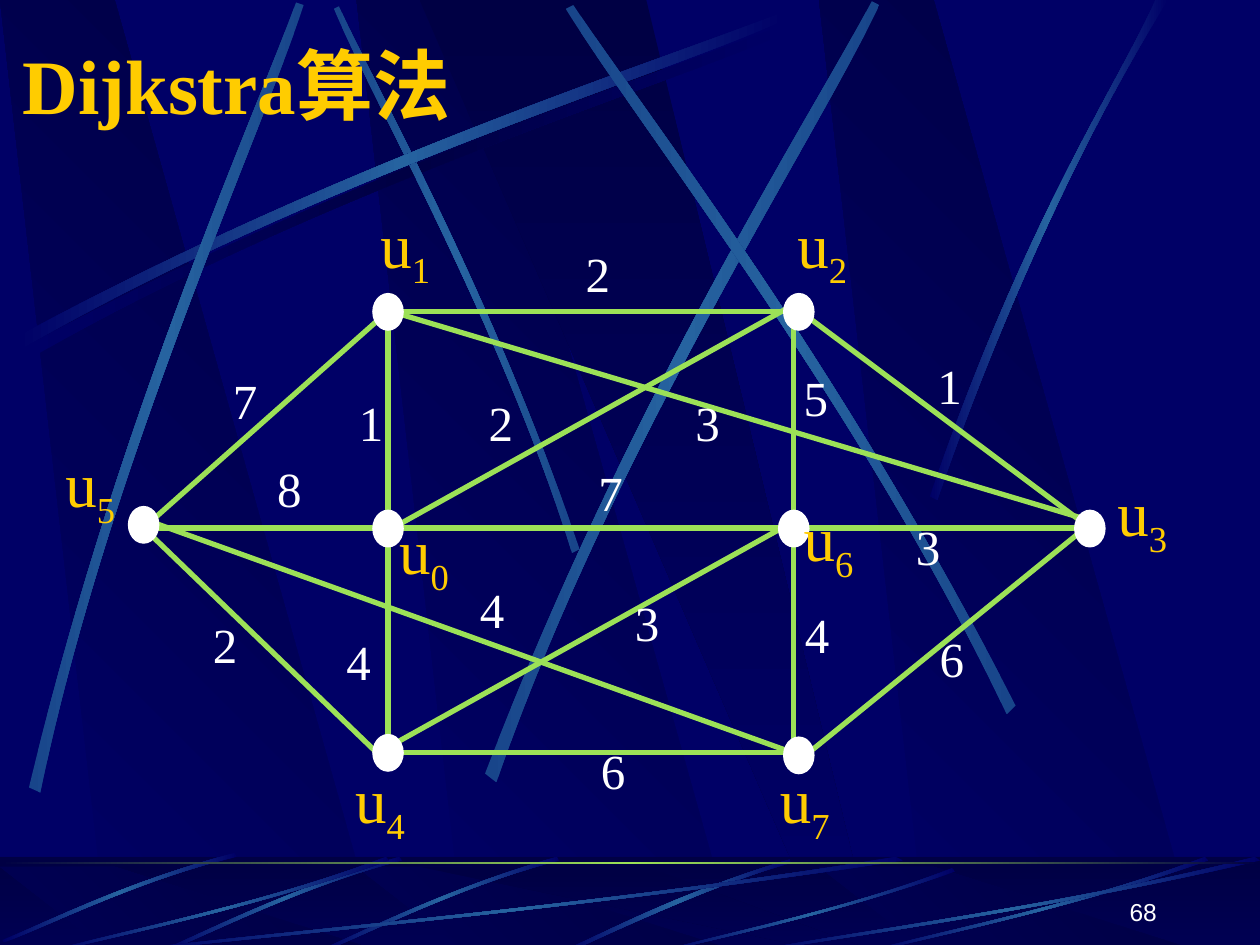
from lxml.etree import SubElement
from pptx import Presentation
from pptx.dml.color import RGBColor
from pptx.enum.shapes import MSO_CONNECTOR as CONN, MSO_SHAPE as SHAPE
from pptx.enum.text import MSO_ANCHOR as ANCHOR, PP_ALIGN as ALIGN
from pptx.oxml.ns import qn
from pptx.util import Inches, Pt

C = {"navy": "000066", "dark": "000044", "beam": "2663A0", "dim": "18458A",
     "green": "9CE157", "gold": "FFCC00", "white": "FFFFFF"}
SERIF = "Times New Roman"
TITLE = "Dijkstra算法"
PAGE = "68"

BAND_LEFTS = [2.83, 0, 6.5]
BAND = [(0.86, 1), (3.02, 1), (0.91, 0), (0, 0)]
WEDGE = [(3.33, 0), (6.58, 1), (6.94, 1), (5.13, 0)]

# Each streak: end colour, middle colour, outward curve, return curve.
BIG_STREAKS = [
    ("navy", "dark", [(0.2, 2.75), (2.84, 1.34), (5.24, 0.59), (6.26, 0.18)],
     [(6.29, 0.24), (5.28, 0.69), (2.54, 1.51), (0.23, 2.85)]),
    ("dim", "beam", [(4.6, 4.36), (3.91, 2.34), (3.02, 0.77), (2.69, 0.05)],
     [(2.65, 0.07), (2.95, 0.79), (3.98, 2.58), (4.54, 4.39)]),
    ("navy", "beam", [(0.14, 2.67), (2.78, 1.25), (5.18, 0.51), (6.2, 0.1)],
     [(6.23, 0.16), (5.22, 0.61), (2.48, 1.43), (0.17, 2.77)]),
    ("dim", "beam", [(0.23, 6.25), (0.93, 3.34), (1.97, 1.05), (2.35, 0.02)],
     [(2.41, 0.04), (2.07, 1.09), (0.86, 3.68), (0.32, 6.29)]),
    ("dim", "beam", [(3.85, 6.14), (4.98, 3.2), (6.38, 1.02), (6.92, 0.01)],
     [(6.98, 0.04), (6.49, 1.08), (4.86, 3.55), (3.94, 6.21)]),
    ("dim", "beam", [(8.06, 5.6), (6.7, 2.93), (5.16, 0.95), (4.55, 0.04)],
     [(4.49, 0.07), (5.07, 1.01), (6.85, 3.25), (7.99, 5.67)]),
    ("navy", "beam", [(7.38, 3.94), (8.14, 1.73), (8.88, 0.66), (9.17, 0)],
     [(9.27, 0), (8.36, 1.45), (7.69, 3.22), (7.44, 3.97)]),
]
FLOOR_STREAKS = [
    ("navy", "beam", [(6.27, 6.82), (5.37, 7.09), (4.77, 7.42), (4.48, 7.54)],
     [(4.53, 7.55), (4.9, 7.38), (5.71, 7), (6.28, 6.85)]),
    ("navy", "beam", [(4.42, 6.8), (3.55, 7.05), (2.87, 7.4), (2.56, 7.53)],
     [(2.57, 7.55), (2.88, 7.43), (3.65, 7.03), (4.44, 6.83)]),
    ("navy", "beam", [(3.17, 6.8), (2.3, 7.05), (1.62, 7.4), (1.31, 7.53)],
     [(1.32, 7.55), (1.63, 7.43), (2.4, 7.03), (3.19, 6.83)]),
    ("navy", "beam", [(1.86, 6.77), (0.99, 7), (0.33, 7.34), (0.02, 7.46)],
     [(0.03, 7.48), (0.34, 7.37), (1.1, 6.98), (1.88, 6.8)]),
]
# Left, top and width of the floor streaks that share one outline.
SWEEPS = [(1, 6.8, 6.17), (0.42, 6.8, 2.67), (5.27, 6.89, 2.31),
          (6.92, 6.8, 2.67), (6, 6.8, 4)]
SWEEP = [[(1, 0.04), (0.57, 0.57), (0.17, 0.85), (0.01, 1)],
         [(0, 0.99), (0.17, 0.81), (0.62, 0.51), (0.99, 0)]]

EDGES = [
    (3.01, 5.97, 6.35, 4.11), (3.01, 4.25, 6.35, 2.39),
    (6.28, 5.97, 1.14, 4.12), (8.58, 4.11, 3.13, 2.48),
    (3.08, 5.97, 3.08, 2.53), (6.3, 5.97, 6.3, 2.53),
    (1.14, 4.19, 3.08, 6.06), (3.08, 5.97, 6.35, 5.97),
    (6.35, 6.03, 8.65, 4.16), (1.14, 4.19, 8.65, 4.19),
    (1.14, 4.19, 3.08, 2.47), (3.08, 2.47, 6.35, 2.47),
    (6.35, 2.47, 8.65, 4.19),
]
# Subscript, then left and top of the node and of its label.
NODES = [
    ("0", 2.96, 4.05, 3.07, 4.01), ("1", 2.96, 2.33, 2.92, 1.58),
    ("2", 6.22, 2.33, 6.23, 1.58), ("3", 8.53, 4.05, 8.77, 3.71),
    ("4", 2.96, 5.83, 2.72, 5.99), ("5", 1.02, 4.02, 0.42, 3.48),
    ("6", 6.18, 4.05, 6.28, 3.91), ("7", 6.22, 5.85, 6.09, 5.99),
]
WEIGHTS = [
    ("7", 1.75, 2.89), ("6", 4.67, 5.83), ("2", 1.59, 4.83), ("8", 2.1, 3.59),
    ("1", 2.75, 3.07), ("4", 2.65, 4.96), ("4", 3.71, 4.55), ("3", 4.94, 4.65),
    ("4", 6.29, 4.75), ("7", 4.65, 3.62), ("2", 3.78, 3.07), ("3", 5.42, 3.07),
    ("5", 6.28, 2.87), ("6", 7.36, 4.94), ("3", 7.17, 4.05), ("2", 4.55, 1.88),
    ("1", 7.34, 2.77),
]


def rgb(name):
    return RGBColor.from_string(C[name])


def gradient(sp, colors, angle=0):
    sp.shadow.inherit = False
    sp.line.fill.background()
    sp.fill.gradient()
    sp.fill.gradient_angle = angle
    stops = sp.element.spPr.find(qn("a:gradFill")).find(qn("a:gsLst"))
    for old in list(stops):
        stops.remove(old)
    for i, color in enumerate(colors):
        gs = SubElement(stops, qn("a:gs"), pos=str(100000 * i // (len(colors) - 1)))
        SubElement(gs, qn("a:srgbClr"), val=C[color])


def outline(points):
    pts = [(Inches(x), Inches(y)) for x, y in points]
    fb = s.shapes.build_freeform(*pts[0], scale=1.0)
    fb.add_line_segments(pts[1:], close=True)
    return fb.convert_to_shape()


def streak(end, mid, out, back):
    sp = outline(out + back)
    lines = list(sp.element.spPr.iter(qn("a:lnTo")))
    for first, *rest in (lines[0:3], lines[4:7]):
        first.tag = qn("a:cubicBezTo")
        for ln in rest:
            first.append(ln[0])
            ln.getparent().remove(ln)
    gradient(sp, [end, mid, end])


def bands(top, bottom):
    def place(points, left=0):
        return outline([(left + x, top + y * (bottom - top)) for x, y in points])
    for left in BAND_LEFTS:
        gradient(place(BAND, left), ["navy", "dark"], 45)
    gradient(place(WEDGE), ["dark", "navy"], 270)


def shape(kind, x, y, w, h):
    sp = s.shapes.add_shape(kind, Inches(x), Inches(y), Inches(w), Inches(h))
    sp.shadow.inherit = False
    return sp


def style(r, size, color, font=SERIF):
    r.font.size, r.font.name = Pt(size), font
    r.font.color.rgb = rgb(color)


def label(x, y, w, h, texts, size, color, font=SERIF):
    tf = s.shapes.add_textbox(Inches(x), Inches(y), Inches(w), Inches(h)).text_frame
    tf.word_wrap = False
    for text in texts:
        r = tf.paragraphs[0].add_run()
        r.text = text
        style(r, size, color, font)
    return tf


prs = Presentation()
prs.slide_width, prs.slide_height = Inches(10), Inches(7.5)
layout = prs.slide_layouts[5]
s = prs.slides.add_slide(layout)
s.background.fill.solid()
s.background.fill.fore_color.rgb = rgb("navy")

bands(0, 7.52)
for item in BIG_STREAKS:
    streak(*item)
gradient(shape(SHAPE.RECTANGLE, 0, 6.8, 10, 0.75), ["dark", "navy"], 270)
bands(6.88, 7.55)
veil = shape(SHAPE.RECTANGLE, 0, 6.8, 10, 0.75)
veil.line.fill.background()
veil.fill.solid()
veil.fill.fore_color.rgb = rgb("dark")
SubElement(veil.element.spPr.find(qn("a:solidFill"))[0], qn("a:alpha"), val="50000")
for item in FLOOR_STREAKS:
    streak(*item)
for left, top, width in SWEEPS:
    streak("navy", "beam", *[[(left + x * width, top + y * (7.55 - top))
                              for x, y in side] for side in SWEEP])
gradient(shape(SHAPE.RECTANGLE, 0, 6.84, 10, 0.02), ["dark", "green", "dark"])

# The backdrop belongs to the layout, in place of its footer placeholders.
for ph in list(layout.placeholders)[1:]:
    layout.shapes.element.remove(ph.element)
for sp in list(s.shapes):
    if not sp.is_placeholder:
        layout.shapes.element.append(sp.element)

title = s.shapes.title
title.left, title.top = Inches(0.08), Inches(0.25)
title.width, title.height = Inches(8.92), Inches(0.83)
title.text_frame.text = TITLE
title.text_frame.vertical_anchor = ANCHOR.MIDDLE
p = title.text_frame.paragraphs[0]
p.alignment = ALIGN.LEFT
style(p.runs[0], 44, "gold")
p.runs[0].font.bold = True

for edge in EDGES:
    line = s.shapes.add_connector(CONN.STRAIGHT, *map(Inches, edge))
    line.line.color.rgb, line.line.width = rgb("green"), Pt(3)
    SubElement(line.element.spPr, qn("a:effectLst"))
for sub, x, y, label_x, label_y in NODES:
    node = shape(SHAPE.OVAL, x, y, 0.24, 0.29)
    node.fill.solid()
    node.fill.fore_color.rgb = node.line.color.rgb = rgb("white")
    node.line.width = Pt(0.75)
    tf = label(label_x, label_y, 0.62, 0.7, ["u", sub], 36, "gold")
    tf.paragraphs[0].runs[1].font._element.set("baseline", "-25000")
for weight, x, y in WEIGHTS:
    label(x, y, 0.39, 0.57, [weight], 28, "white")

tf = label(7.2, 6.9, 2.08, 0.5, [PAGE], 14, "white", "Arial")
tf.word_wrap = True
tf.vertical_anchor = ANCHOR.BOTTOM
tf.paragraphs[0].alignment = ALIGN.RIGHT

prs.save("out.pptx")
